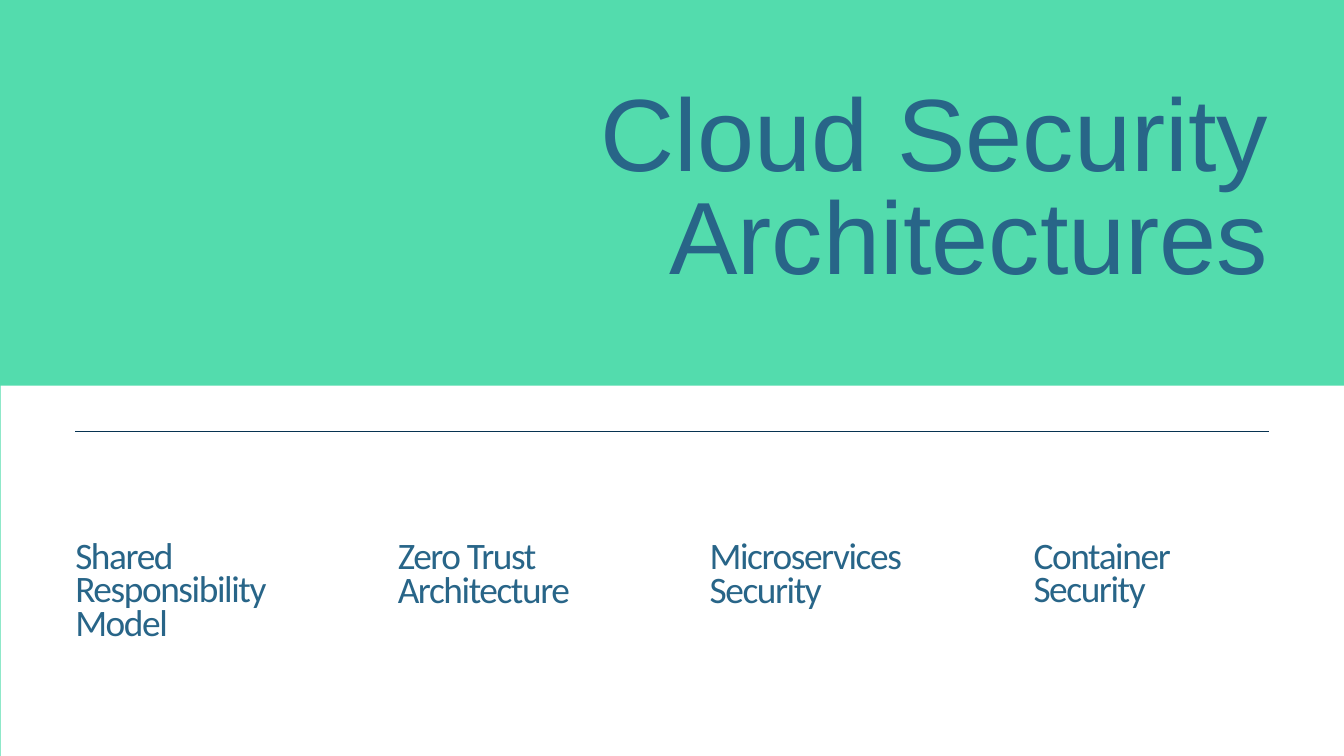
from dataclasses import dataclass

from lxml.etree import SubElement
from pptx import Presentation
from pptx.dml.color import RGBColor
from pptx.enum.shapes import MSO_CONNECTOR as Connector, MSO_SHAPE as Shape
from pptx.enum.text import MSO_ANCHOR as Anchor, MSO_AUTO_SIZE as AutoSize, PP_ALIGN as Align
from pptx.oxml.ns import qn
from pptx.slide import Slide
from pptx.text.text import TextFrame
from pptx.util import Inches, Pt

WIDTH, HEIGHT = 20, 11.25
MARGIN = 1.12
TOPIC_WIDTH = 3.49
GREEN, WHITE, BLUE, NAVY = "53DCAD", "FFFFFF", "286588", "073351"


@dataclass
class Panel:
    left: float
    top: float
    color: str


@dataclass
class Topic:
    text: str
    left: float
    top: float
    height: float


@dataclass
class Style:
    font: str
    size: float
    line: float
    align: Align
    tracking: float = 0


TITLE_STYLE = Style("Arial", 110, 110, Align.RIGHT)
TOPIC_STYLE = Style("Calibri", 40, 36, Align.LEFT, -1.5)

PANELS = [Panel(0, 0, GREEN), Panel(0.01, 5.74, WHITE)]
TOPICS = [
    Topic("Shared Responsibility Model", MARGIN, 8.08, 1.51),
    Topic("Zero Trust Architecture", 5.92, 8.09, 1.01),
    Topic("Microservices Security", 10.56, 8.09, 1.01),
    Topic("Container Security", 15.38, 8.08, 1.01),
]


def rgb(color: str) -> RGBColor:
    return RGBColor.from_string(color)


def write(frame: TextFrame, text: str, style: Style) -> None:
    frame.word_wrap = True
    frame.auto_size = AutoSize.NONE
    frame.vertical_anchor = Anchor.TOP
    frame.margin_left = frame.margin_right = 0
    frame.margin_top = frame.margin_bottom = 0
    para = frame.paragraphs[0]
    para.alignment = style.align
    para.line_spacing = Pt(style.line)
    span = para.add_run()
    span.text = text
    span.font.name = style.font
    span.font.size = Pt(style.size)
    span.font.color.rgb = rgb(BLUE)
    if style.tracking:
        span._r.get_or_add_rPr().set("spc", str(round(style.tracking * 100)))


def draw_panel(page: Slide, panel: Panel) -> None:
    box = page.shapes.add_shape(
        Shape.RECTANGLE, Inches(panel.left), Inches(panel.top),
        Inches(WIDTH - panel.left), Inches(HEIGHT - panel.top))
    box.shadow.inherit = False
    box.fill.solid()
    box.fill.fore_color.rgb = rgb(panel.color)
    box.line.fill.background()


def draw_divider(page: Slide, top: float) -> None:
    divider = page.shapes.add_connector(
        Connector.STRAIGHT, Inches(MARGIN), Inches(top), Inches(WIDTH - MARGIN), Inches(top))
    divider.line.color.rgb = rgb(NAVY)
    divider.line.width = Pt(0.75)
    SubElement(divider._element.spPr, qn("a:effectLst"))


def draw_topic(page: Slide, topic: Topic) -> None:
    box = page.shapes.add_textbox(
        Inches(topic.left), Inches(topic.top), Inches(TOPIC_WIDTH), Inches(topic.height))
    write(box.text_frame, topic.text, TOPIC_STYLE)


def draw_title(page: Slide, text: str) -> None:
    title = page.shapes.title
    title.left, title.top = Inches(7.67), Inches(1.33)
    title.width, title.height = Inches(11.21), Inches(3.09)
    write(title.text_frame, text, TITLE_STYLE)
    page.shapes._spTree.append(title._element)


def main() -> None:
    deck = Presentation()
    deck.slide_width, deck.slide_height = Inches(WIDTH), Inches(HEIGHT)
    page = deck.slides.add_slide(deck.slide_layouts.get_by_name("Title Only"))
    page.background.fill.solid()
    page.background.fill.fore_color.rgb = rgb("FFFDFC")
    for panel in PANELS:
        draw_panel(page, panel)
    draw_divider(page, 6.42)
    for topic in TOPICS:
        draw_topic(page, topic)
    draw_title(page, "Cloud Security Architectures")
    deck.save("out.pptx")


if __name__ == "__main__":
    main()
